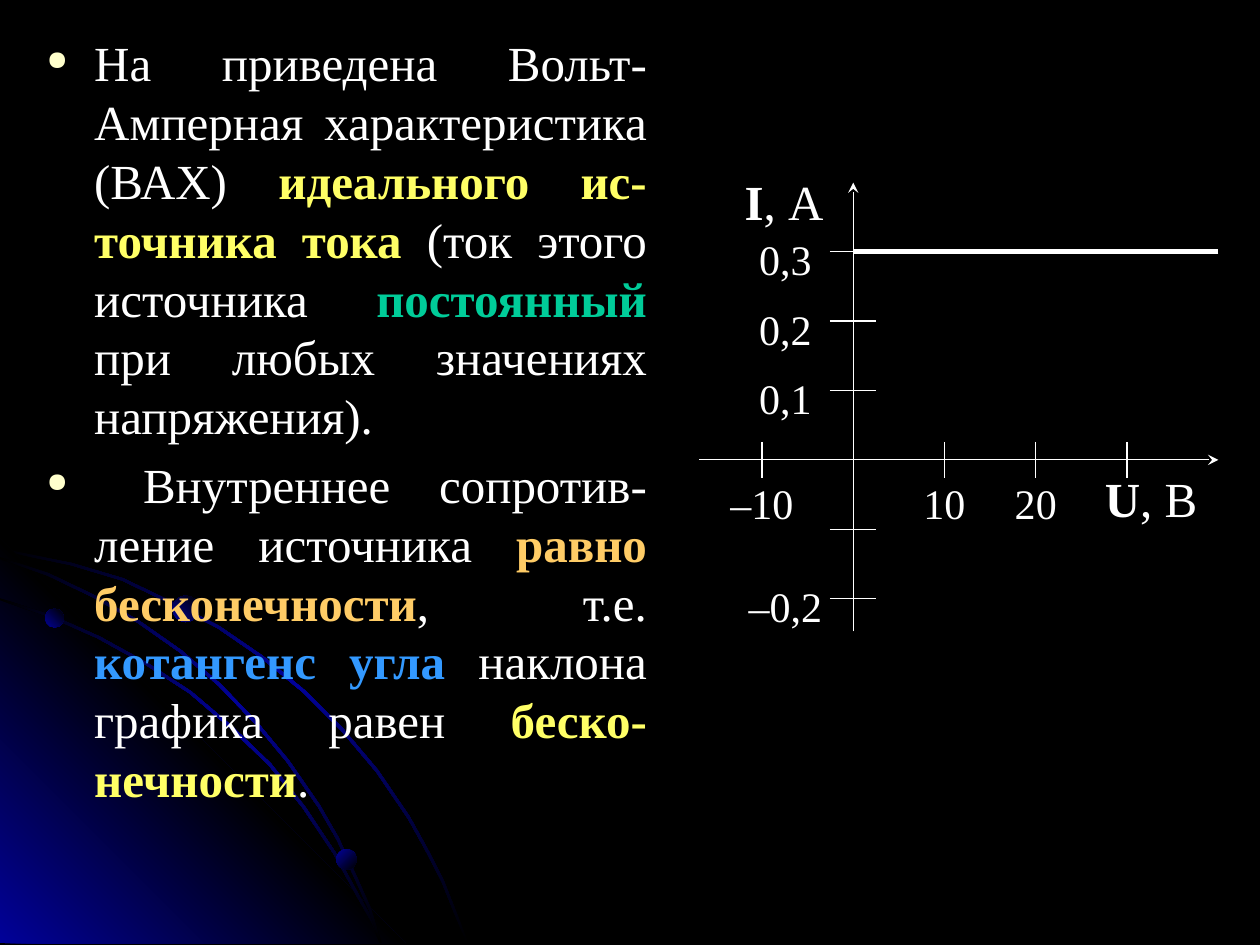
from copy import deepcopy

from lxml import etree
from pptx import Presentation
from pptx.dml.color import RGBColor
from pptx.enum import shapes, text
from pptx.oxml.ns import qn
from pptx.util import Cm, Pt

BLACK = RGBColor(0x00, 0x00, 0x00)
NAVY = RGBColor(0x01, 0x01, 0x99)
WHITE = RGBColor(0xFF, 0xFF, 0xFF)
YELLOW = RGBColor(0xFF, 0xFF, 0x66)
GREEN = RGBColor(0x00, 0xCC, 0x99)
ORANGE = RGBColor(0xFF, 0xCC, 0x66)
BLUE = RGBColor(0x33, 0x99, 0xFF)
CREAM = RGBColor(0xFF, 0xFF, 0xCC)
FONT = "Times New Roman"

# Each run is (text, highlight colour or None)
POINTS = [
    [("На приведена Вольт-Амперная характеристика (ВАХ) ", None),
     ("идеального ис-точника тока", YELLOW),
     (" (ток этого источника ", None),
     ("постоянный", GREEN),
     (" при любых значениях напряжения).", None)],
    [(" Внутреннее сопротив-ление источника ", None),
     ("равно бесконечности", ORANGE),
     (", т.е. ", None),
     ("котангенс угла", BLUE),
     (" наклона графика равен ", None),
     ("беско-нечности", YELLOW),
     (".", None)],
]

# Tick position in steps from the origin -> label
VOLTAGE_TICKS = {-1: "–10", 1: "10", 2: "20", 3: ""}
CURRENT_TICKS = {3: "0,3", 2: "0,2", 1: "0,1", 0: "", -1: "", -2: "–0,2"}
AXIS_TITLES = [
    ("U", ", В", (21.59, 9.32, 3.23, 1.4), 0, text.PP_ALIGN.CENTER),
    ("I", ", А", (14.76, 3.33, 2.46, 1.4), 0.25, text.PP_ALIGN.LEFT),
]

# Upper edges of the background arcs, cm
OUTER_ARC = [(0, 11.05), (0.71, 11.2), (1.45, 11.35), (2.49, 11.66), (3.45, 12.12),
             (4.42, 12.62), (5.31, 13.23), (6.15, 13.92), (6.91, 14.68), (7.62, 15.52),
             (8.26, 16.46), (8.61, 17.09), (8.94, 17.73), (9.19, 18.36), (9.45, 19.02)]
INNER_ARC = [(0, 12.06), (1.04, 12.4), (2.01, 12.83), (2.97, 13.36), (3.86, 13.94),
             (4.67, 14.63), (5.46, 15.39), (6.15, 16.26), (6.76, 17.17), (7.26, 18.08),
             (7.52, 18.54), (7.7, 19.02)]
MIDDLE_ARC = [(0, 11.23), (0.99, 11.56), (1.93, 12.01), (2.82, 12.52), (3.66, 13.11),
              (4.45, 13.79), (5.18, 14.55), (5.82, 15.32), (6.45, 16.23), (6.83, 16.89),
              (7.16, 17.6), (7.47, 18.29), (7.7, 19.02)]
ARC_BOTTOM, ARC_WIDTH = 19.02, 0.04
CORNER = [(8.18, 19.02), (0, 19.02), (0, 10.85)]
# left, top, diameter, gradient angle
PLANETS = [(0.91, 12.27, 0.38, 45), (6.78, 17.12, 0.41, 315), (3.48, 12.01, 0.53, 45)]

ORIGIN_X, ORIGIN_Y = 17.2, 9.27
STEP_X, STEP_Y = 1.84, 1.4
TICK_X, TICK_Y = 0.36, 0.47
LABEL_W, LABEL_H = 1.83, 1.04
CURRENT_LABEL_LEFT = 14.92
AXIS_RIGHT = 24.56

prs = Presentation()
prs.slide_width, prs.slide_height = Cm(25.4), Cm(19.05)
slide = prs.slides.add_slide(prs.slide_layouts[6])
slide.background.fill.solid()
slide.background.fill.fore_color.rgb = BLACK


def style_gradient(shape, colors, angle):
    """Fill with evenly spaced colours; the angle runs counter-clockwise."""
    shape.shadow.inherit = False
    shape.line.fill.background()
    fill = shape.fill
    fill.gradient()
    fill.gradient_angle = angle
    stop_list = fill._xPr.find(".//" + qn("a:gsLst"))
    for _ in colors[2:]:
        stop_list.append(deepcopy(stop_list[-1]))
    for i, (stop, color) in enumerate(zip(fill.gradient_stops, colors)):
        stop.position = i / (len(colors) - 1)
        stop.color.rgb = color


def add_outline(points, colors, angle):
    corners = [(Cm(x), Cm(y)) for x, y in points]
    builder = slide.shapes.build_freeform(*corners[0])
    builder.add_line_segments(corners[1:], close=True)
    style_gradient(builder.convert_to_shape(), colors, angle)


def add_arc(upper):
    lower = [(max(0, x - ARC_WIDTH), min(ARC_BOTTOM, y + ARC_WIDTH)) for x, y in upper]
    add_outline(upper + lower[::-1], [BLACK, NAVY, BLACK], 315)


def add_line(x1, y1, x2, y2, width=0.75, arrow=False):
    line = slide.shapes.add_connector(
        shapes.MSO_CONNECTOR.STRAIGHT, Cm(x1), Cm(y1), Cm(x2), Cm(y2))
    line.line.color.rgb = WHITE
    line.line.width = Pt(width)
    if arrow:
        etree.SubElement(line.line._get_or_add_ln(), qn("a:tailEnd"), type="stealth")
    etree.SubElement(line._element.spPr, qn("a:effectLst"))


def add_text(box, side_inset, end_inset):
    frame = slide.shapes.add_textbox(*map(Cm, box)).text_frame
    frame.word_wrap = True
    frame.margin_left = frame.margin_right = Cm(side_inset)
    frame.margin_top = frame.margin_bottom = Cm(end_inset)
    return frame


def set_font(paragraph, size, align):
    paragraph.alignment = align
    paragraph.font.name = FONT
    paragraph.font.size = Pt(size)
    paragraph.font.color.rgb = WHITE


def add_bullet(paragraph):
    props = paragraph._p.get_or_add_pPr()
    props.set("marL", str(Cm(0.96)))
    props.set("indent", str(-Cm(0.96)))
    color = etree.SubElement(props, qn("a:buClr"))
    etree.SubElement(color, qn("a:srgbClr"), val=str(CREAM))
    etree.SubElement(props, qn("a:buSzPct"), val="55000")
    etree.SubElement(props, qn("a:buChar"), char="●")


def add_tick_label(label, left, top):
    if label:
        paragraph = add_text((left, top, LABEL_W, LABEL_H), 0, 0).paragraphs[0]
        paragraph.text = label
        set_font(paragraph, 24, text.PP_ALIGN.CENTER)


# Background
add_arc(OUTER_ARC)
add_outline(CORNER, [NAVY, BLACK, NAVY], 45)
add_arc(INNER_ARC)
add_arc(MIDDLE_ARC)
for left, top, size, angle in PLANETS:
    planet = slide.shapes.add_shape(
        shapes.MSO_SHAPE.OVAL, Cm(left), Cm(top), Cm(size), Cm(size))
    style_gradient(planet, [NAVY, BLACK], angle)

# Explanation
explanation = add_text((0.69, 0.53, 12.6, 16.51), 0.25, 0.13)
for i, runs in enumerate(POINTS):
    paragraph = explanation.add_paragraph() if i else explanation.paragraphs[0]
    add_bullet(paragraph)
    set_font(paragraph, 28, text.PP_ALIGN.JUSTIFY)
    if i:
        paragraph.space_before = Pt(5.6)
    for words, highlight in runs:
        run = paragraph.add_run()
        run.text = words
        if highlight is not None:
            run.font.bold = True
            run.font.color.rgb = highlight

# Current-voltage characteristic
add_line(ORIGIN_X, 12.73, ORIGIN_X, 3.68, arrow=True)
add_line(14.1, ORIGIN_Y, AXIS_RIGHT, ORIGIN_Y, arrow=True)
for symbol, unit, box, inset, align in AXIS_TITLES:
    title = add_text(box, inset, 0.13).paragraphs[0]
    set_font(title, 28, align)
    symbol_run = title.add_run()
    symbol_run.text = symbol
    symbol_run.font.bold = True
    title.add_run().text = unit
for step, label in VOLTAGE_TICKS.items():
    x = ORIGIN_X + step * STEP_X
    add_line(x, ORIGIN_Y - TICK_X, x, ORIGIN_Y + TICK_X)
    add_tick_label(label, x - LABEL_W / 2, ORIGIN_Y + TICK_X)
for step, label in CURRENT_TICKS.items():
    y = ORIGIN_Y - step * STEP_Y
    add_line(ORIGIN_X - TICK_Y, y, ORIGIN_X + TICK_Y, y)
    add_tick_label(label, CURRENT_LABEL_LEFT, y - TICK_X)
source_current = ORIGIN_Y - 3 * STEP_Y
add_line(AXIS_RIGHT, source_current, ORIGIN_X, source_current, width=3)

prs.save("out.pptx")
